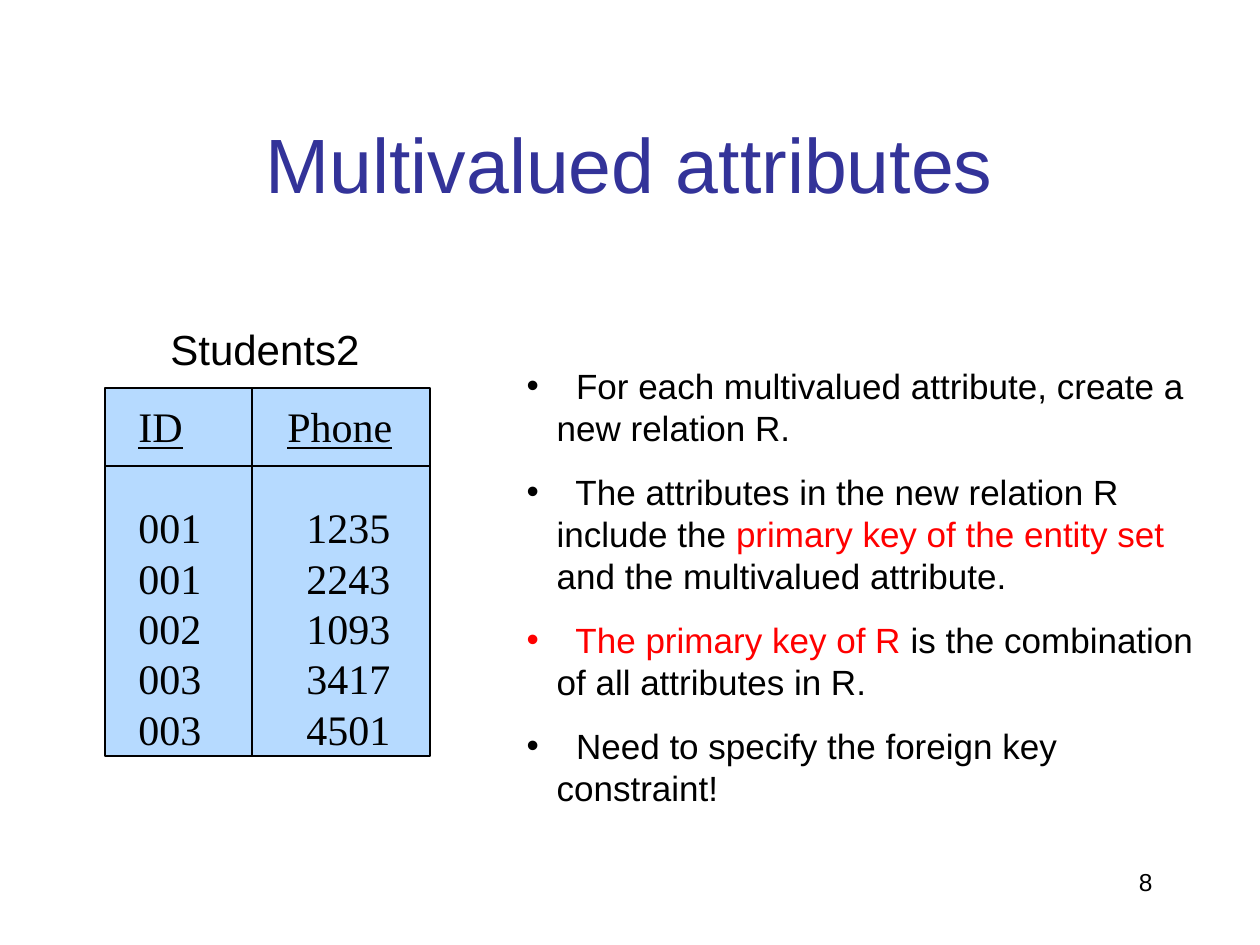
from lxml import etree
from pptx import Presentation
from pptx.dml.color import RGBColor
from pptx.enum.shapes import MSO_CONNECTOR, MSO_SHAPE
from pptx.enum.text import MSO_ANCHOR, MSO_AUTO_SIZE, PP_ALIGN
from pptx.oxml.ns import qn
from pptx.util import Pt

STRAIGHT = MSO_CONNECTOR.STRAIGHT
RECTANGLE = MSO_SHAPE.RECTANGLE
TOP, MIDDLE = MSO_ANCHOR.TOP, MSO_ANCHOR.MIDDLE
NO_FIT = MSO_AUTO_SIZE.NONE
LEFT, CENTER, RIGHT = PP_ALIGN.LEFT, PP_ALIGN.CENTER, PP_ALIGN.RIGHT

BLACK, NAVY, RED, SKY = "000000", "333399", "FF0000", "99CCFF"
SANS, SERIF = "Arial", "Times New Roman"
LINE_FACTOR = 1.2

COLUMNS = ("ID", "Phone")
ROWS = [("001", "1235"), ("001", "2243"), ("002", "1093"),
        ("003", "3417"), ("003", "4501")]
POINTS = [
    [("  For each multivalued attribute, create a new relation R.", BLACK)],
    [("  The attributes in the new relation R include the ", BLACK),
     ("primary key of the entity set", RED),
     (" and the multivalued attribute.", BLACK)],
    [("  The primary key of R", RED),
     (" is the combination of all attributes in R.", BLACK)],
    [("  Need to specify the foreign key constraint!", BLACK)],
]


def px(length):
    return int(length * 914400 / 126)


def color(value):
    return RGBColor.from_string(value)


def place(shape, box):
    shape.left, shape.top, shape.width, shape.height = map(px, box)


def add_span(para, text, size, fill=BLACK, font=SANS, underline=False):
    span = para.add_run()
    span.text = text
    span.font.size = Pt(size)
    span.font.name = font
    span.font.underline = underline
    span.font.color.rgb = color(fill)


def paragraphs(frame, count):
    return [frame.paragraphs[0]] + [frame.add_paragraph() for _ in range(count - 1)]


def add_text_box(page, box, wrap=True):
    frame = page.shapes.add_textbox(*map(px, box)).text_frame
    frame.word_wrap = wrap
    return frame


def add_label(page, box, text, size, align=LEFT):
    para = add_text_box(page, box).paragraphs[0]
    para.alignment = align
    add_span(para, text, size)


def add_rule(page, x1, y1, x2, y2):
    rule = page.shapes.add_connector(STRAIGHT, px(x1), px(y1), px(x2), px(y2))
    rule.line.color.rgb = color(BLACK)
    rule.line.width = Pt(0.75)
    etree.SubElement(rule._element.spPr, qn("a:effectLst"))


def add_tab_stop(para, position):
    stops = etree.SubElement(para._p.get_or_add_pPr(), qn("a:tabLst"))
    etree.SubElement(stops, qn("a:tab"), pos=str(px(position)), algn="l")


def fill_title(page, box):
    title = page.shapes.title
    place(title, box)
    title.text_frame.vertical_anchor = MIDDLE
    para = title.text_frame.paragraphs[0]
    para.alignment = CENTER
    add_span(para, "Multivalued attributes", 44, NAVY)


def add_relation(page, box):
    left, top, width, height = box
    size = 24

    # Panel behind the rows
    panel = page.shapes.add_shape(RECTANGLE, *map(px, box))
    panel.shadow.inherit = False
    panel.fill.solid()
    panel.fill.fore_color.rgb = color(SKY)
    shade = panel._element.spPr.find(qn("a:solidFill"))[0]
    etree.SubElement(shade, qn("a:alpha"), val="71000")
    panel.line.color.rgb = color(BLACK)
    panel.line.width = Pt(0.75)

    # Header and rows, with the second column on a tab stop
    frame = add_text_box(page, (left + 21, top + 4, 280, height - 3), wrap=False)
    frame.margin_top = px(9)
    records = [COLUMNS] + ROWS
    for index, (para, cells) in enumerate(zip(paragraphs(frame, len(records)), records)):
        is_header = index == 0
        para.line_spacing = Pt(size * LINE_FACTOR)
        if index == 1:
            para.space_before = Pt(size * LINE_FACTOR)
        add_tab_stop(para, 149 if is_header else 168)
        add_span(para, cells[0], size, font=SERIF, underline=is_header)
        add_span(para, "\t", size, font=SERIF)
        add_span(para, cells[1], size, font=SERIF, underline=is_header)

    # Lines under the header and between the columns
    add_rule(page, left, top + 78, left + width, top + 78)
    add_rule(page, left + 147, top, left + 147, top + height)


def fill_points(page, box):
    body = page.placeholders[1]
    place(body, box)
    frame = body.text_frame
    frame.auto_size = NO_FIT
    frame.vertical_anchor = TOP
    for para, spans in zip(paragraphs(frame, len(POINTS)), POINTS):
        para.alignment = LEFT
        para.space_before = Pt(12.5)
        para.line_spacing = Pt(20 * LINE_FACTOR)
        props = para._p.get_or_add_pPr()
        props.set("marL", str(px(30)))
        props.set("indent", str(-px(30)))
        etree.SubElement(props, qn("a:buChar"), char="•")
        for text, fill in spans:
            add_span(para, text, 20, fill)


def main():
    deck = Presentation()
    deck.slide_width, deck.slide_height = px(1260), px(945)
    page = deck.slides.add_slide(deck.slide_layouts[1])

    fill_title(page, (94, 84, 1071, 158))
    add_relation(page, (105, 388, 325, 368))
    add_label(page, (158, 317, 284, 63), "Students2", 24)
    fill_points(page, (514, 358, 725, 415))
    add_label(page, (903, 861, 262, 63), "8", 14, RIGHT)

    deck.save("out.pptx")


if __name__ == "__main__":
    main()
